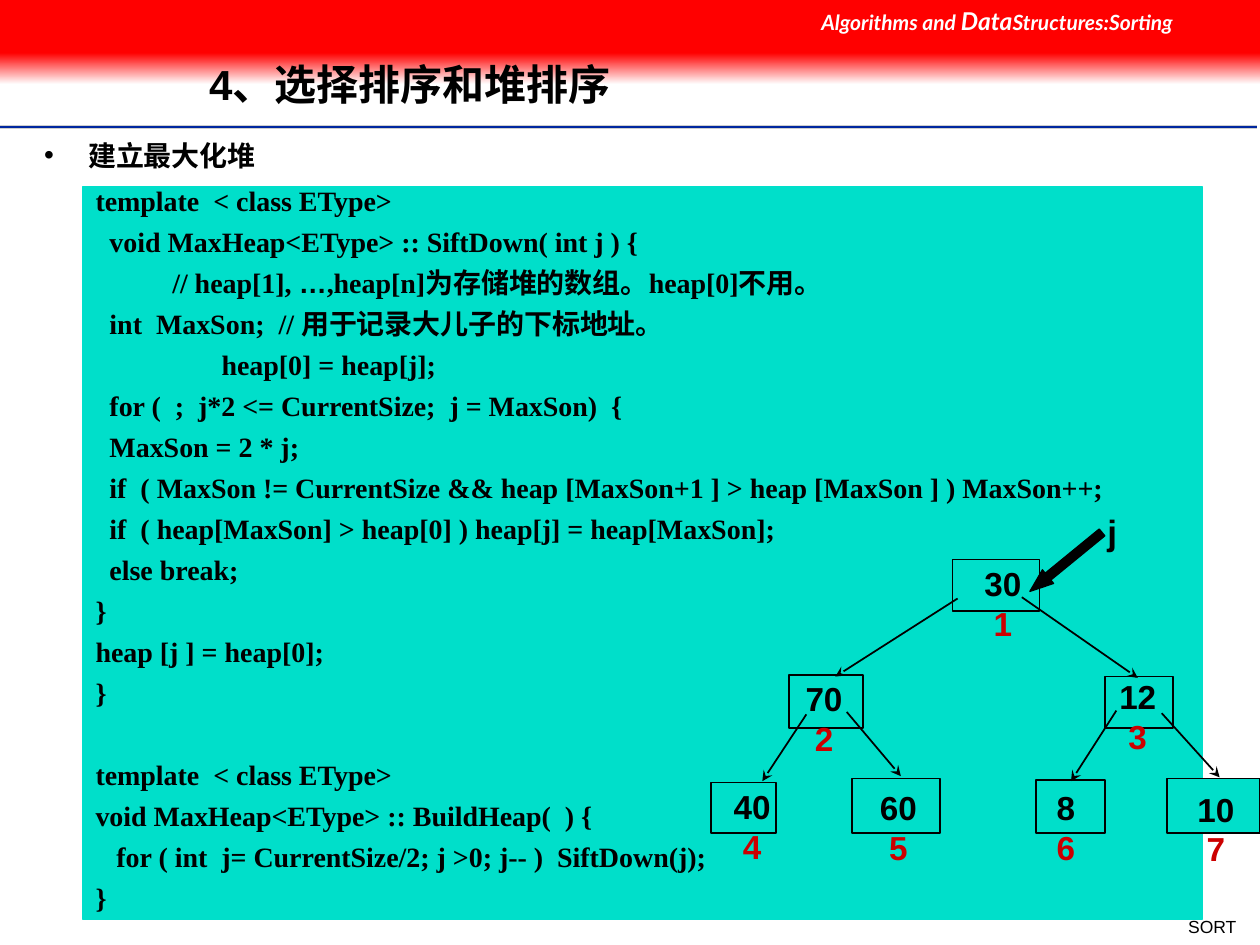
from itertools import cycle

from lxml import etree
from pptx import Presentation
from pptx.dml.color import RGBColor
from pptx.enum.shapes import MSO_CONNECTOR, MSO_SHAPE
from pptx.enum.text import MSO_ANCHOR, MSO_AUTO_SIZE, PP_ALIGN
from pptx.oxml.ns import qn
from pptx.util import Inches, Pt

LINE = MSO_CONNECTOR.STRAIGHT
RECT, ARROW = MSO_SHAPE.RECTANGLE, MSO_SHAPE.LEFT_ARROW
TOP, MIDDLE = MSO_ANCHOR.TOP, MSO_ANCHOR.MIDDLE
LEFT, RIGHT = PP_ALIGN.LEFT, PP_ALIGN.RIGHT
CENTER, JUSTIFY = PP_ALIGN.CENTER, PP_ALIGN.JUSTIFY
FIXED = MSO_AUTO_SIZE.NONE

BLACK = RGBColor(0x00, 0x00, 0x00)
WHITE = RGBColor(0xFF, 0xFF, 0xFF)
RED = RGBColor(0xFF, 0x00, 0x00)
CRIMSON = RGBColor(0xCC, 0x00, 0x00)
CYAN = RGBColor(0x00, 0xDF, 0xCA)
NAVY = RGBColor(0x00, 0x27, 0x9F)
GREY = RGBColor(0xCE, 0xCE, 0xCE)

HEAD = dict(name="Lato", bold=True, italic=True)
TITLE = dict(name="Arial", size=Pt(24), bold=True)
ITEM = dict(name="Arial", size=Pt(16), bold=True)
NODE = dict(name="Arial", size=Pt(19), bold=True)
MARK = dict(name="Arial", size=Pt(20), bold=True)
FOOT = dict(name="Arial", size=Pt(10))
FACES = ("Times New Roman", "Arial")

# "|" switches between the two faces
CODE = """template  < class EType>
  void MaxHeap<EType> :: SiftDown( int j ) {
           // heap[1], |…|,heap[n]|为存储堆的数组。|heap[0]|不用。
  int  MaxSon;  // |用于记录大儿子的下标地址。
\t\theap[0] = heap[j];
  for (  ;  j*2 <= CurrentSize;  j = MaxSon)  {
  MaxSon = 2 * j;
  if  ( MaxSon != CurrentSize && heap [MaxSon+1 ] > heap [MaxSon ] ) MaxSon++;
  if  ( heap[MaxSon] > heap[0] ) heap[j] = heap[MaxSon];
  else break;
}
heap [j ] = heap[0];
}
template  < class EType>
void MaxHeap<EType> :: BuildHeap(  ) {
   for ( int  j= CurrentSize/2; j >0; j-- )  SiftDown(j);
}""".replace("# ", "").split("\n")
BREAK = 13

NODES = [
    ("30", (1.92, 0.44, 0.69, 0.41), (2.32, 0.43)),
    ("70", (0.62, 1.36, 0.59, 0.42), (0.9, 1.34)),
    ("12", (3.13, 1.37, 0.54, 0.41), (3.39, 1.33)),
    ("40", (0, 2.21, 0.52, 0.4), (0.33, 2.2)),
    ("60", (1.12, 2.18, 0.7, 0.43), (1.49, 2.21)),
    ("8", (2.58, 2.19, 0.55, 0.42), (2.82, 2.21)),
    ("10", (3.62, 2.18, 0.74, 0.43), (4.01, 2.22)),
]
EDGES = [
    (1.96, 0.75, 0.99, 1.37), (2.47, 0.74, 3.39, 1.38),
    (0.76, 1.67, 0.41, 2.2), (1.08, 1.65, 1.51, 2.16),
    (3.22, 1.64, 2.86, 2.2), (3.58, 1.66, 4.04, 2.17),
]


def style(font, form, color=BLACK):
    for key, value in form.items():
        setattr(font, key, value)
    font.color.rgb = color


def write(para, text, form, color=BLACK):
    run = para.add_run()
    run.text = text
    style(run.font, form, color)


def inset(frame, side, edge):
    frame.margin_left = frame.margin_right = Inches(side)
    frame.margin_top = frame.margin_bottom = Inches(edge)


def block(slide, kind, box, fill, line=None, width=1):
    shape = slide.shapes.add_shape(kind, *map(Inches, box))
    shape.shadow.inherit = False
    shape.fill.solid()
    shape.fill.fore_color.rgb = fill
    if line is None:
        shape.line.fill.background()
    else:
        shape.line.color.rgb = line
        shape.line.width = Pt(width)
    return shape


def label(slide, box, align=LEFT, wrap=True):
    frame = slide.shapes.add_textbox(*map(Inches, box)).text_frame
    frame.word_wrap = wrap
    inset(frame, 0.1, 0.05)
    frame.paragraphs[0].alignment = align
    return frame


def stroke(slide, ends, color, width=1, head=None):
    line = slide.shapes.add_connector(LINE, *map(Inches, ends))
    line.line.color.rgb = color
    line.line.width = Pt(width)
    if head:
        etree.SubElement(line.line._get_or_add_ln(), qn("a:tailEnd"), type=head)
    etree.SubElement(line.element.spPr, qn("a:effectLst"))


def banner(slide, x, y, w, h):
    solid = 0.42
    fade = block(slide, RECT, (x, y + solid, w, h - solid), RED)
    fade.fill.gradient()
    fade.fill.gradient_angle = 270
    for stop, color, place in zip(fade.fill.gradient_stops, (RED, WHITE), (0, 1)):
        stop.color.rgb = color
        stop.position = place
    block(slide, RECT, (x, y, w, solid), RED)
    para = label(slide, (x + 6.42, y, w - 6.42, 0.34)).paragraphs[0]
    for text, size in (("Algorithms and ", 12), ("Data", 14), ("Structures:Sorting", 12)):
        write(para, text, HEAD | dict(size=Pt(size)), WHITE)


def rule(slide, x, y, w):
    for gap, color, width in ((0, GREY, 2), (0, NAVY, 1), (0.02, WHITE, 1)):
        stroke(slide, (x, y + gap, x + w, y + gap), color, width)


def place(holder, box, text, form, anchor):
    for key, value in zip(("left", "top", "width", "height"), box):
        setattr(holder, key, Inches(value))
    holder.element.getparent().append(holder.element)
    frame = holder.text_frame
    frame.auto_size = FIXED
    frame.vertical_anchor = anchor
    inset(frame, 0.1, 0.05)
    para = frame.paragraphs[0]
    para.alignment = LEFT
    para.space_before = Pt(0)
    write(para, text, form)
    return para


def heading(slide, box):
    para = place(slide.shapes.title, box, "4、选择排序和堆排序", TITLE, MIDDLE)
    para.line_spacing = 0.9


def topic(slide, box):
    para = place(slide.placeholders[1], box, "建立最大化堆", ITEM, TOP)
    props = para._p.get_or_add_pPr()
    props.set("marL", str(Inches(0.6)))
    props.set("indent", str(Inches(-0.35)))


def listing(slide, box):
    frame = block(slide, RECT, box, CYAN, CYAN, 0.75).text_frame
    frame.word_wrap = True
    frame.vertical_anchor = TOP
    inset(frame, 0.1, 0.05)
    for row, code in enumerate(CODE):
        para = frame.add_paragraph() if row else frame.paragraphs[0]
        para.alignment = JUSTIFY
        para.line_spacing = 0.7
        if row:
            para.space_before = Pt(33.4 if row == BREAK else 10)
        for part, face in zip(code.split("|"), cycle(FACES)):
            write(para, part, ITEM | dict(name=face))


def tree(slide, x, y):
    for _, (left, top, w, h), _ in NODES:
        block(slide, RECT, (x + left, y + top, w, h), CYAN, BLACK)
    for a, b, c, d in EDGES:
        stroke(slide, (x + a, y + b, x + c, y + d), BLACK, head="stealth")
    for rank, (value, _, (mid, top)) in enumerate(NODES, 1):
        frame = label(slide, (x + mid - 0.3, y + top, 0.6, 0.71), CENTER)
        inset(frame, 0.08, 0.04)
        write(frame.paragraphs[0], value, NODE)
        para = frame.add_paragraph()
        para.alignment = CENTER
        write(para, str(rank), NODE, CRIMSON)
    arrow = block(slide, ARROW, (x + 2.45, y + 0.39, 0.74, 0.14), BLACK, BLACK, 0.75)
    arrow.adjustments[0] = 0.5
    arrow.adjustments[1] = 1.33
    arrow.rotation = 320.7
    write(label(slide, (x + 3.05, y, 0.57, 0.44)).paragraphs[0], "j", MARK)


def footer(slide, box):
    write(label(slide, box, RIGHT, False).paragraphs[0], "SORT", FOOT)


def main():
    deck = Presentation()
    deck.slide_width, deck.slide_height = Inches(10), Inches(7.5)
    slide = deck.slides.add_slide(deck.slide_layouts[1])
    rule(slide, 0, 1.01, 9.98)
    footer(slide, (9.32, 7.22, 0.59, 0.27))
    banner(slide, 0, 0, 10, 0.67)
    heading(slide, (1.56, 0.32, 7.55, 0.74))
    topic(slide, (0, 1.05, 5.93, 0.37))
    listing(slide, (0.66, 1.48, 8.88, 5.82))
    tree(slide, 5.64, 4)
    deck.save("out.pptx")


if __name__ == "__main__":
    main()
